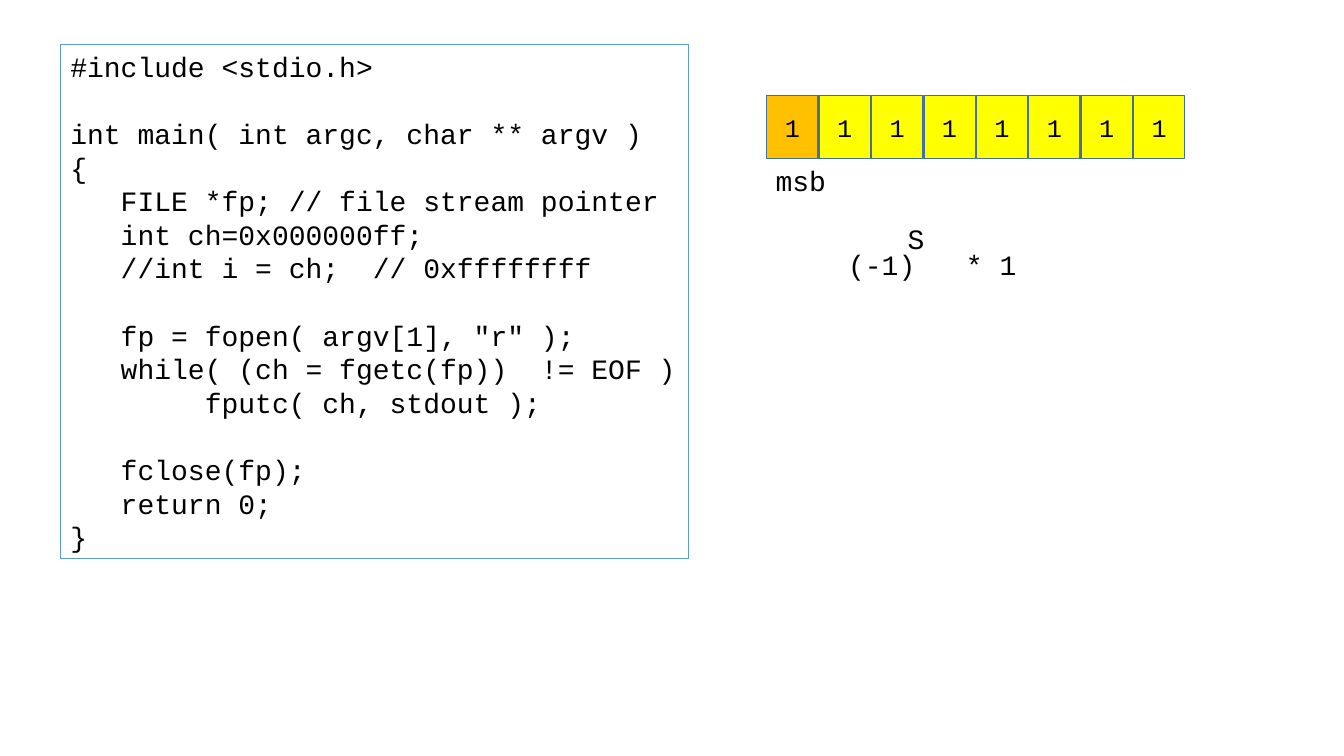
from pptx import Presentation
from pptx.dml.color import RGBColor
from pptx.enum import shapes, text
from pptx.util import Inches, Pt

BLACK = RGBColor(0x00, 0x00, 0x00)
ORANGE = RGBColor(0xFF, 0xC0, 0x00)
YELLOW = RGBColor(0xFF, 0xFF, 0x00)
LIGHT_BLUE = RGBColor(0x5B, 0x9B, 0xD5)
DARK_BLUE = RGBColor(0x41, 0x71, 0x9C)

CODE = """#include <stdio.h>

int main( int argc, char ** argv )
{
   FILE *fp; // file stream pointer
   int ch=0x000000ff;
   //int i = ch;  // 0xffffffff

   fp = fopen( argv[1], "r" );
   while( (ch = fgetc(fp))  != EOF )
        fputc( ch, stdout );

   fclose(fp);
   return 0;
}"""

BITS = "11111111"
BIT_LEFT, BIT_TOP, BIT_PITCH = 7.61, 0.95, 0.52
BIT_WIDTH, BIT_HEIGHT = 0.51, 0.62

LABELS = [
    ("msb", 7.6, 1.57, 0.7),
    ("S", 8.91, 2.15, 0.37),
    ("(-1)", 8.32, 2.41, 0.87),
    ("* 1", 9.49, 2.41, 0.7),
]


def write(shape, content, size, alignment=text.PP_ALIGN.LEFT):
    shape.text_frame.text = content
    for paragraph in shape.text_frame.paragraphs:
        paragraph.alignment = alignment
        paragraph.font.name = "Courier New"
        paragraph.font.size = Pt(size)
        paragraph.font.color.rgb = BLACK


def add_text(slide, content, left, top, width, height=0.44):
    """Add a 20-point text box that does not wrap."""
    box = slide.shapes.add_textbox(
        Inches(left), Inches(top), Inches(width), Inches(height))
    write(box, content, 20)
    box.text_frame.word_wrap = False
    box.text_frame.auto_size = text.MSO_AUTO_SIZE.SHAPE_TO_FIT_TEXT
    return box


def add_code(slide):
    box = add_text(slide, CODE, 0.6, 0.44, 6.23, 5.1)
    box.line.color.rgb = LIGHT_BLUE
    box.line.width = Pt(0.75)


def add_bit(slide, index, bit):
    """Add one cell of the byte; the first is the sign bit."""
    cell = slide.shapes.add_shape(
        shapes.MSO_SHAPE.RECTANGLE,
        Inches(BIT_LEFT + index * BIT_PITCH), Inches(BIT_TOP),
        Inches(BIT_WIDTH), Inches(BIT_HEIGHT))
    cell.shadow.inherit = False
    cell.fill.solid()
    cell.fill.fore_color.rgb = YELLOW if index else ORANGE
    cell.line.color.rgb = DARK_BLUE
    cell.line.width = Pt(1)
    cell.text_frame.vertical_anchor = text.MSO_ANCHOR.MIDDLE
    write(cell, bit, 18, text.PP_ALIGN.CENTER)


def main():
    presentation = Presentation()
    presentation.slide_width = Inches(13.34)
    presentation.slide_height = Inches(7.5)
    slide = presentation.slides.add_slide(presentation.slide_layouts[6])

    add_code(slide)
    for index, bit in enumerate(BITS):
        add_bit(slide, index, bit)
    for label in LABELS:
        add_text(slide, *label)

    presentation.save("out.pptx")


if __name__ == "__main__":
    main()
